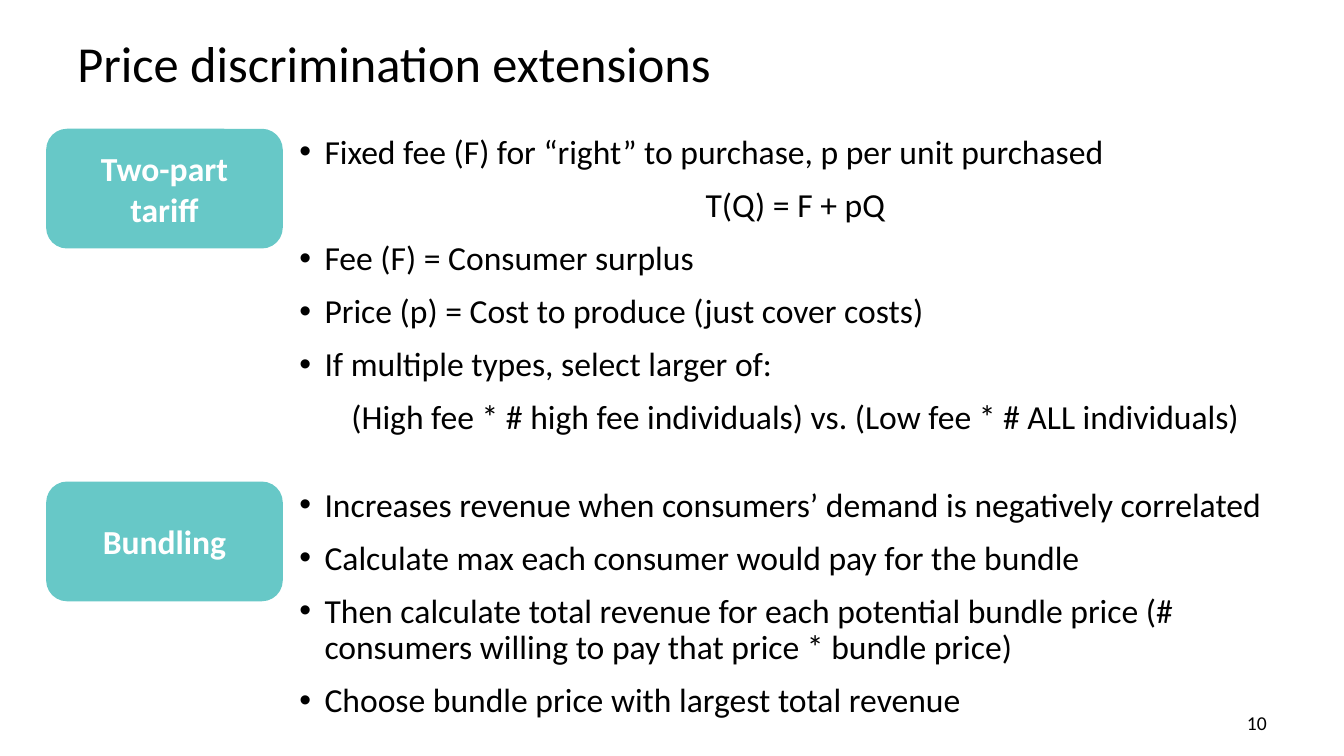
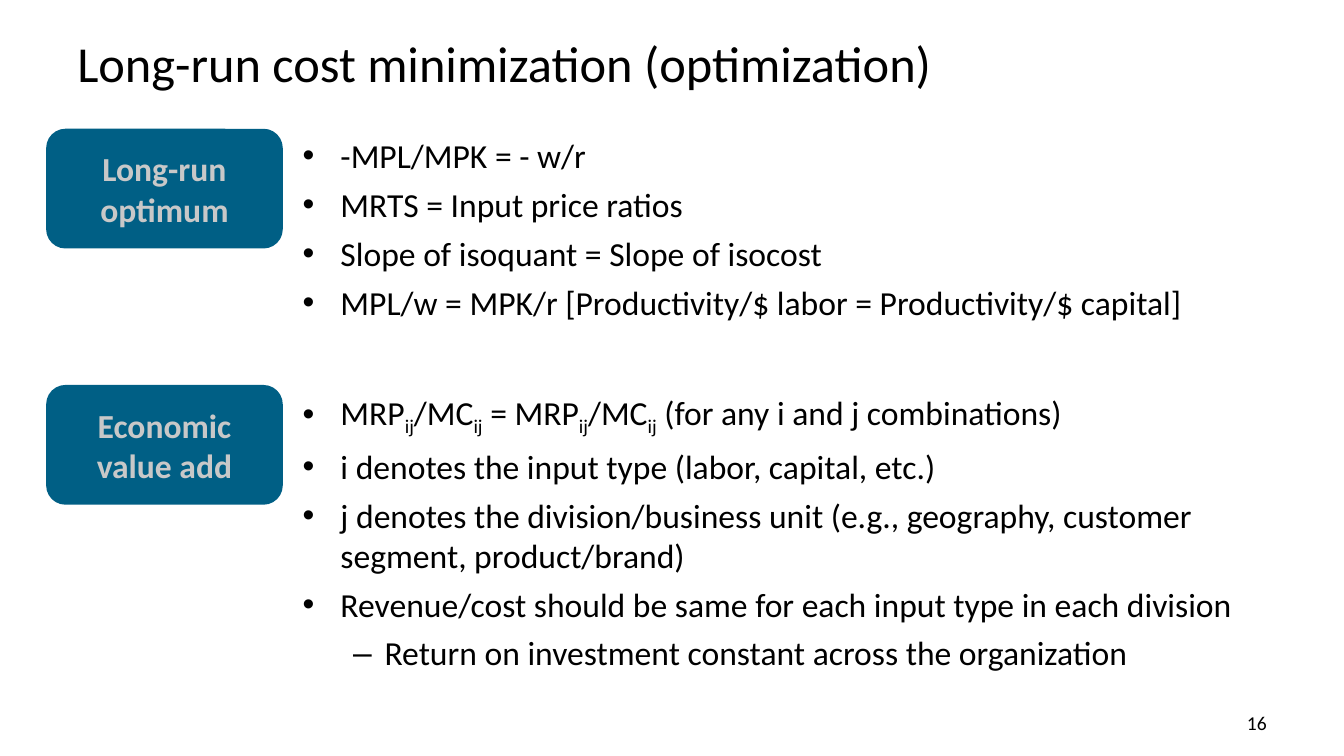
from lxml import etree
from pptx import Presentation
from pptx.dml.color import RGBColor
from pptx.enum.shapes import MSO_SHAPE
from pptx.enum.text import MSO_ANCHOR, MSO_AUTO_SIZE, PP_ALIGN
from pptx.oxml.ns import qn
from pptx.util import Pt

LEFT, MID, RIGHT = PP_ALIGN.LEFT, PP_ALIGN.CENTER, PP_ALIGN.RIGHT
TOP, CENTRE = MSO_ANCHOR.TOP, MSO_ANCHOR.MIDDLE
FIXED = MSO_AUTO_SIZE.NONE
ROUND = MSO_SHAPE.ROUNDED_RECTANGLE

FONT = "Calibri"
COLORS = {"ink": "000000", "white": "FFFFFF", "grey": "C8C8C8",
          "teal": "67C8C7", "blue": "005F85"}

# Paragraph kinds: (bullet, left margin, hanging indent, alignment, level)
WIDE = {"list": ("•", 18, -18, LEFT, 0), "math": (None, 0, 0, MID, 0)}
DEEP = {"list": ("•", 27, -27, LEFT, 0), "sub": ("–", 58.5, -22.5, LEFT, 1)}

# Text between a pair of ~ marks is set as a subscript.
SLIDES = [
    {"title": "Price discrimination extensions", "page": "10",
     "fill": "teal", "ink": "white", "curve": 0.167,
     "left": 206.6, "width": 723, "kinds": WIDE, "after": 12, "line": 0.9,
     "parts": [
         ("Two-part tariff", 93, 225, [
             ("list", "Fixed fee (F) for “right” to purchase, p per unit purchased"),
             ("math", "T(Q) = F + pQ"),
             ("list", "Fee (F) = Consumer surplus"),
             ("list", "Price (p) = Cost to produce (just cover costs)"),
             ("list", "If multiple types, select larger of:"),
             ("math", "(High fee * # high fee individuals) vs. (Low fee * # ALL individuals)")]),
         ("Bundling", 345, 174, [
             ("list", "Increases revenue when consumers’ demand is negatively correlated"),
             ("list", "Calculate max each consumer would pay for the bundle"),
             ("list", "Then calculate total revenue for each potential bundle price "
                      "(# consumers willing to pay that price * bundle price)"),
             ("list", "Choose bundle price with largest total revenue")])]},
    {"title": "Long-run cost minimization (optimization)", "page": "16",
     "fill": "blue", "ink": "grey", "curve": 0.153,
     "left": 209, "width": 714, "kinds": DEEP, "after": 6, "line": 1.0,
     "parts": [
         ("Long-run optimum", 93, 142, [
             ("list", "-MPL/MPK = - w/r"),
             ("list", "MRTS = Input price ratios"),
             ("list", "Slope of isoquant = Slope of isocost"),
             ("list", "MPL/w = MPK/r [Productivity/$ labor = Productivity/$ capital]")]),
         ("Economic value add", 276, 206, [
             ("list", "MRP~ij~/MC~ij~ = MRP~ij~/MC~ij~ (for any i and j combinations)"),
             ("list", "i denotes the input type (labor, capital, etc.)"),
             ("list", "j denotes the division/business unit (e.g., geography, "
                      "customer segment, product/brand)"),
             ("list", "Revenue/cost should be same for each input type in each division"),
             ("sub", "Return on investment constant across the organization")])]},
]


def rgb(name):
    return RGBColor.from_string(COLORS[name])


def place(shape, left, top, width, height):
    shape.left, shape.top = Pt(left), Pt(top)
    shape.width, shape.height = Pt(width), Pt(height)


def mark(para, sign, margin, indent):
    """Set the bullet and hanging indent of a paragraph."""
    props = para._p.get_or_add_pPr()
    props.set("marL", str(Pt(margin)))
    props.set("indent", str(Pt(indent)))
    if sign:
        etree.SubElement(props, qn("a:buFont"), typeface="Arial")
        etree.SubElement(props, qn("a:buChar"), char=sign)
    else:
        etree.SubElement(props, qn("a:buNone"))


def write(shape, rows, kinds=None, size=24, color="ink", bold=False,
          align=LEFT, anchor=TOP, after=0, line=1.0):
    """Fill a shape with (kind, text) rows; a plain string is one row."""
    frame = shape.text_frame
    frame.word_wrap, frame.auto_size = True, FIXED
    frame.vertical_anchor = anchor
    if isinstance(rows, str):
        rows = [("plain", rows)]
    for i, (kind, text) in enumerate(rows):
        para = frame.add_paragraph() if i else frame.paragraphs[0]
        sign, margin, indent, side, level = (kinds or {}).get(
            kind, (None, 0, 0, align, 0))
        para.alignment, para.level = side, level
        para.space_before, para.space_after = Pt(0), Pt(after)
        para.line_spacing = line
        mark(para, sign, margin, indent)
        for j, piece in enumerate(text.split("~")):
            run = para.add_run()
            run.text = piece
            font = run.font
            font.name, font.size, font.bold = FONT, Pt(size), bold
            font.color.rgb = rgb(color)
            if j % 2:
                run._r.get_or_add_rPr().set("baseline", "-25000")


def badge(slide, text, top, data):
    shape = slide.shapes.add_shape(ROUND, Pt(34), Pt(top), Pt(167), Pt(83.5))
    shape.adjustments[0] = data["curve"]
    shape.shadow.inherit = False
    shape.fill.solid()
    shape.fill.fore_color.rgb = rgb(data["fill"])
    shape.line.color.rgb = rgb(data["fill"])
    shape.line.width = Pt(2)
    write(shape, text, color=data["ink"], bold=True, align=MID, anchor=CENTRE)


def build(deck, layout, data):
    slide = deck.slides.add_slide(layout)
    title, *bodies = slide.placeholders
    write(title, data["title"], size=36, anchor=CENTRE)
    for body, (label, top, height, rows) in zip(bodies, data["parts"]):
        place(body, data["left"], top, data["width"], height)
        write(body, rows, kinds=data["kinds"], after=data["after"],
              line=data["line"])
        badge(slide, label, top, data)
    page = slide.shapes.add_textbox(Pt(688), Pt(504), Pt(224), Pt(24.5))
    write(page, data["page"], size=14, align=RIGHT)


def main():
    deck = Presentation()
    deck.slide_width, deck.slide_height = Pt(960), Pt(540)
    layout = deck.slide_layouts.get_by_name("Two Content")
    place(layout.placeholders[0], 48, 19, 864, 51)
    for data in SLIDES:
        build(deck, layout, data)
    deck.save("out.pptx")


if __name__ == "__main__":
    main()
